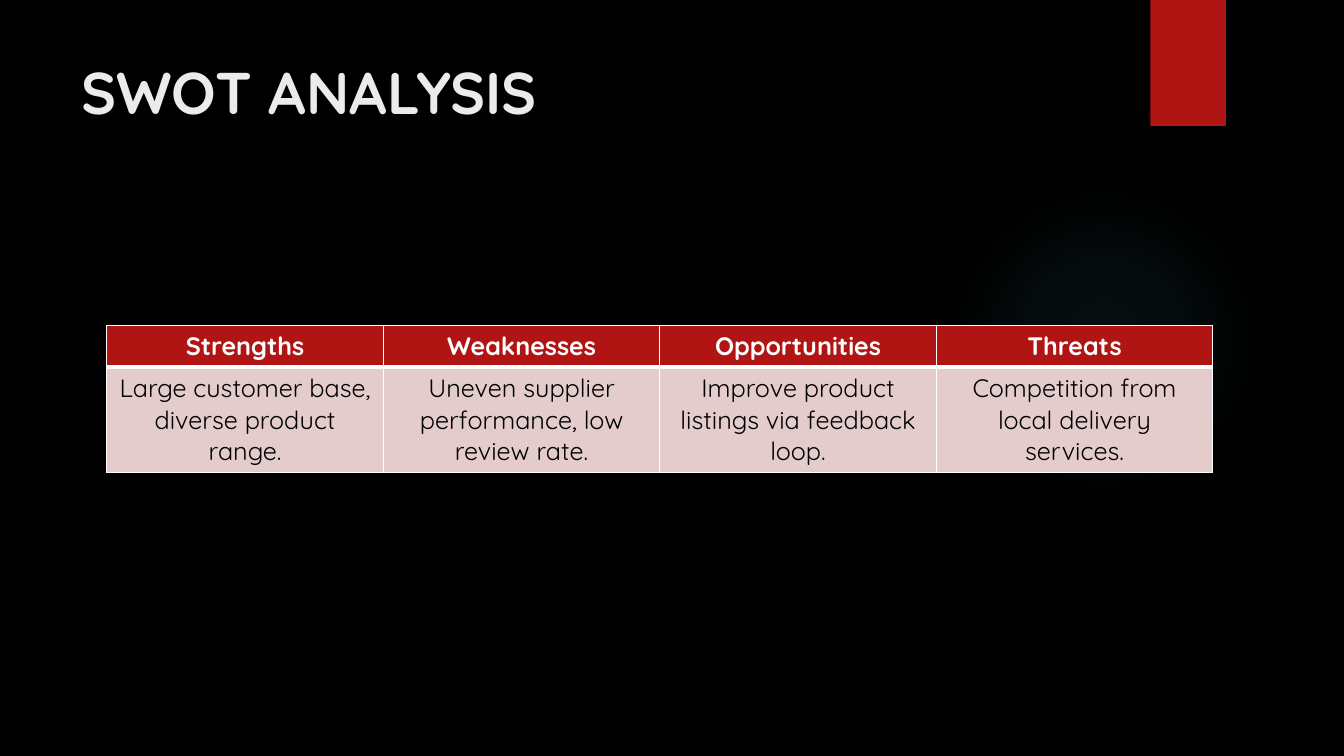
from pptx import Presentation
from pptx.dml.color import RGBColor
from pptx.enum.shapes import MSO_SHAPE as Shape
from pptx.enum.text import MSO_ANCHOR as Anchor, PP_ALIGN as Align
from pptx.oxml import parse_xml
from pptx.oxml.ns import nsdecls
from pptx.util import Inches, Pt

FONT = "Quicksand"
RED, PINK, WHITE, BLACK, PALE, TEAL = "B01513", "E4CCCC", "FFFFFF", "000000", "EBEBEB", "50B9C1"
SWOT = {
    "Strengths": "Large customer base, diverse product range.",
    "Weaknesses": "Uneven supplier performance, low review rate.",
    "Opportunities": "Improve product listings via feedback loop.",
    "Threats": "Competition from local delivery services.",
}


def rgb(value):
    return RGBColor.from_string(value)


class SwotPage:
    """Draws the elements of one dark slide in a shared style."""

    def __init__(self, deck):
        self.page = deck.slides.add_slide(deck.slide_layouts[5])
        self.page.background.fill.solid()
        self.page.background.fill.fore_color.rgb = rgb(BLACK)

    def style(self, para, size, color, bold):
        font = para.font
        font.name, font.size, font.bold = FONT, Pt(size), bold
        font.color.rgb = rgb(color)

    def title(self, text, left, top, width, height):
        box = self.page.shapes.title
        box.left, box.top, box.width, box.height = map(Inches, (left, top, width, height))
        frame = box.text_frame
        frame.text = text
        frame.word_wrap = True
        frame.vertical_anchor = Anchor.TOP
        para = frame.paragraphs[0]
        para.alignment = Align.LEFT
        self.style(para, 42, PALE, True)

    def shape(self, kind, left, top, width, height, color):
        shape = self.page.shapes.add_shape(kind, *map(Inches, (left, top, width, height)))
        shape.shadow.inherit = False
        shape.fill.solid()
        shape.fill.fore_color.rgb = rgb(color)
        shape.line.fill.background()
        return shape

    def glow(self, left, top, size, color, stops):
        shape = self.shape(Shape.OVAL, left, top, size, size, color)
        stop_xml = "".join(
            f'<a:gs pos="{place * 1000}"><a:srgbClr val="{color}">'
            f'<a:alpha val="{alpha * 1000}"/></a:srgbClr></a:gs>'
            for place, alpha in stops
        )
        gradient = parse_xml(
            f'<a:gradFill {nsdecls("a")}><a:gsLst>{stop_xml}</a:gsLst><a:path path="circle">'
            '<a:fillToRect l="50000" t="50000" r="50000" b="50000"/></a:path></a:gradFill>'
        )
        properties = shape.element.spPr
        solid = properties.find("{*}solidFill")
        properties.replace(solid, gradient)

    def borders(self, cell, **widths):
        properties = cell._tc.get_or_add_tcPr()
        for index, side in enumerate("LRTB"):
            line = parse_xml(
                f'<a:ln{side} {nsdecls("a")} w="{Pt(widths.get(side, 1))}"><a:solidFill>'
                f'<a:srgbClr val="{WHITE}"/></a:solidFill></a:ln{side}>'
            )
            properties.insert(index, line)

    def cell(self, cell, text, fill, color, bold, **widths):
        cell.fill.solid()
        cell.fill.fore_color.rgb = rgb(fill)
        cell.text = text
        para = cell.text_frame.paragraphs[0]
        para.alignment = Align.CENTER
        self.style(para, 18, color, bold)
        self.borders(cell, **widths)

    def table(self, content, left, top, width, heights):
        frame = self.page.shapes.add_table(
            len(heights), len(content), *map(Inches, (left, top, width, sum(heights)))
        )
        table = frame.table
        table.horz_banding = False
        for row, height in zip(table.rows, heights):
            row.height = Inches(height)
        for column, (heading, detail) in enumerate(content.items()):
            self.cell(table.cell(0, column), heading, RED, WHITE, True, B=3)
            self.cell(table.cell(1, column), detail, PINK, BLACK, False, T=3)


def main():
    deck = Presentation()
    deck.slide_width, deck.slide_height = Inches(13.33), Inches(7.5)
    page = SwotPage(deck)
    page.glow(9.41, 1.83, 3.08, TEAL, [(0, 7), (36, 6), (69, 0)])
    page.shape(Shape.RECTANGLE, 11.41, 0, 0.75, 1.25, RED)
    page.title("SWOT ANALYSIS", 0.71, 0.5, 10.29, 1.53)
    page.table(SWOT, 1.06, 3.23, 10.97, [0.41, 1.04])
    deck.save("out.pptx")


if __name__ == "__main__":
    main()
